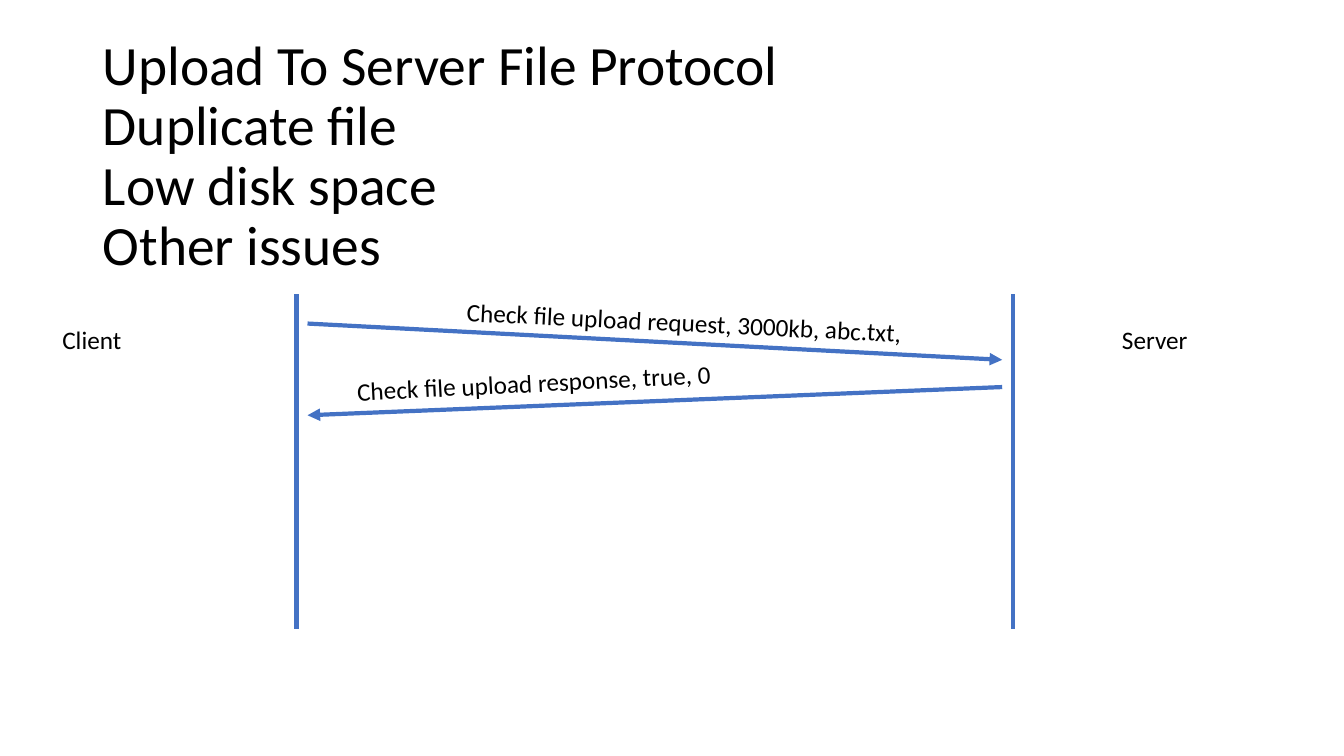
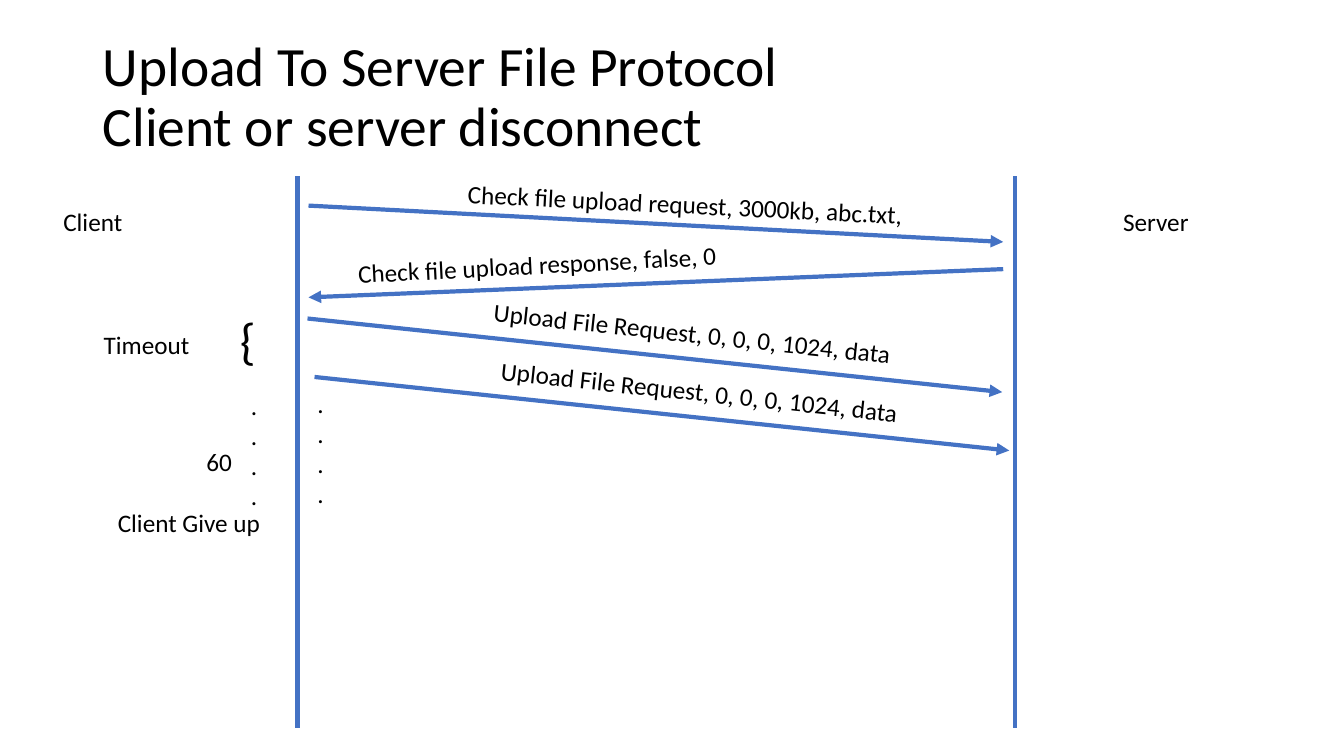
from dataclasses import dataclass

from lxml.etree import SubElement
from pptx import Presentation
from pptx.dml.color import RGBColor
from pptx.enum.shapes import MSO_CONNECTOR as Connector
from pptx.enum.text import MSO_ANCHOR as Anchor, MSO_AUTO_SIZE as AutoSize, PP_ALIGN as Align
from pptx.oxml.ns import qn
from pptx.util import Pt

EMU_PER_PX = 9144  # 100 px to the inch
TITLE_ONLY = 5


@dataclass(frozen=True)
class Theme:
    font: str = "Calibri"
    text: RGBColor = RGBColor(0x00, 0x00, 0x00)
    line: RGBColor = RGBColor(0x44, 0x72, 0xC4)
    line_width: float = 3
    title_size: float = 39.6
    body_size: float = 18
    brace_size: float = 36


@dataclass(frozen=True)
class Box:
    left: int
    top: int
    width: int
    height: int

    def inner(self, left, top, width, height):
        """Return a box whose offset is measured from this box."""
        return Box(self.left + left, self.top + top, width, height)

    def emu(self):
        return [px(n) for n in (self.left, self.top, self.width, self.height)]


@dataclass(frozen=True)
class Message:
    text: str
    start: tuple
    end: tuple
    label: tuple  # left, top, width
    tilt: float

    def shifted(self, right, down):
        left, top, width = self.label
        return Message(self.text,
                       (self.start[0] + right, self.start[1] + down),
                       (self.end[0] + right, self.end[1] + down),
                       (left + right, top + down, width), self.tilt)


THEME = Theme()
LABEL_HEIGHT = 40
REQUEST = Message("Check file upload request, 3000kb, abc.txt,",
                  (11, 29), (700, 65), (159, 8, 457), 2.9)
UPLOAD = Message("Upload File Request, 0, 0, 0, 1024, data",
                 (10, 141), (699, 214), (184, 136, 422), 6.2)


def px(length):
    return length * EMU_PER_PX


def add_run(paragraph, text, size):
    run = paragraph.add_run()
    run.text = text
    run.font.name = THEME.font
    run.font.size = Pt(size)
    run.font.color.rgb = THEME.text


def add_title(slide, box, lines):
    title = slide.shapes.title
    title.left, title.top, title.width, title.height = box.emu()
    frame = title.text_frame
    frame.word_wrap = True
    frame.auto_size = AutoSize.NONE
    frame.vertical_anchor = Anchor.MIDDLE
    paragraph = frame.paragraphs[0]
    paragraph.alignment = Align.LEFT
    paragraph.line_spacing = 0.9
    for index, line in enumerate(lines):
        if index:
            paragraph.add_line_break()
        add_run(paragraph, line, THEME.title_size)


def add_text(slide, box, lines, size=THEME.body_size, tilt=0):
    shape = slide.shapes.add_textbox(*box.emu())
    shape.rotation = tilt
    frame = shape.text_frame
    frame.word_wrap = True
    frame.auto_size = AutoSize.SHAPE_TO_FIT_TEXT
    for index, line in enumerate(lines):
        paragraph = frame.add_paragraph() if index else frame.paragraphs[0]
        add_run(paragraph, line, size)


def add_line(slide, box, start, end, arrow=False):
    points = [px(n) for x, y in (start, end) for n in (box.left + x, box.top + y)]
    connector = slide.shapes.add_connector(Connector.STRAIGHT, *points)
    connector.line.color.rgb = THEME.line
    connector.line.width = Pt(THEME.line_width)
    properties = connector.line._get_or_add_ln().getparent()
    if arrow:
        SubElement(properties.find(qn("a:ln")), qn("a:tailEnd"), type="triangle")
    SubElement(properties, qn("a:effectLst"))


def add_message(slide, box, message):
    add_line(slide, box, message.start, message.end, arrow=True)
    label = box.inner(*message.label, LABEL_HEIGHT)
    add_text(slide, label, [message.text], tilt=message.tilt)


def add_handshake(slide, box, exists):
    """Draw both lifelines, their names and the opening check."""
    for x in (0, box.width):
        add_line(slide, box, (x, 0), (x, box.height))
    for name, left in (("Client", -242), ("Server", 809)):
        add_text(slide, box.inner(left, 25, 117, LABEL_HEIGHT), [name])
    response = Message(f"Check file upload response, {exists}, 0",
                       (700, 92), (11, 120), (50, 64, 504), 357.1)
    for message in (REQUEST, response):
        add_message(slide, box, message)


def add_timeout(slide, box):
    """Draw the client's wait, its repeats and the final give-up."""
    add_text(slide, box.inner(11, 0, 81, 71), ["{"], THEME.brace_size)
    for text, left, top, width in (("Timeout", -124, 20, 116),
                                   ("60", -22, 136, 56),
                                   ("Client Give up", -110, 196, 192)):
        add_text(slide, box.inner(left, top, width, LABEL_HEIGHT), [text])
    for left, top in ((22, 80), (88, 78)):
        add_text(slide, box.inner(left, top, 24, 162), ["."] * 4)


def new_slide(presentation):
    return presentation.slides.add_slide(presentation.slide_layouts[TITLE_ONLY])


def build_issues_slide(presentation):
    slide = new_slide(presentation)
    add_title(slide, Box(92, 99, 1150, 115),
              ["Upload To Server File Protocol", "Duplicate file",
               "Low disk space", "Other issues"])
    add_handshake(slide, Box(294, 292, 711, 332), "true")


def build_disconnect_slide(presentation):
    slide = new_slide(presentation)
    add_title(slide, Box(92, 40, 1150, 115),
              ["Upload To Server File Protocol", "Client or server disconnect"])
    diagram = Box(295, 175, 712, 547)
    add_handshake(slide, diagram, "false")
    # The same upload is sent again after the timeout
    for message in (UPLOAD, UPLOAD.shifted(7, 58)):
        add_message(slide, diagram, message)
    add_timeout(slide, diagram.inner(-78, 127, 92, 392))


def main():
    presentation = Presentation()
    presentation.slide_width, presentation.slide_height = px(1333), px(750)
    build_issues_slide(presentation)
    build_disconnect_slide(presentation)
    presentation.save("out.pptx")


if __name__ == "__main__":
    main()
